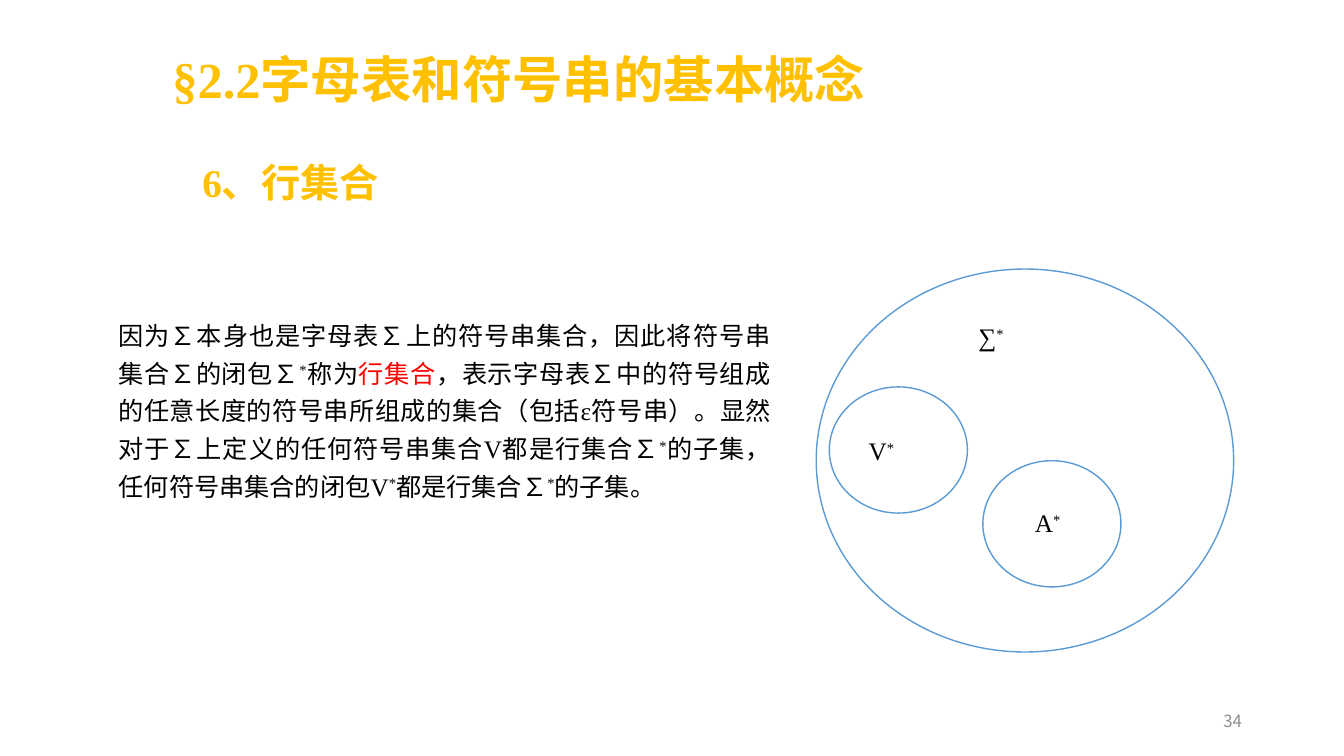
from lxml import etree
from pptx import Presentation
from pptx.dml.color import RGBColor
from pptx.enum.shapes import MSO_SHAPE
from pptx.enum.text import MSO_ANCHOR, MSO_AUTO_SIZE, PP_ALIGN
from pptx.oxml.ns import qn
from pptx.util import Cm, Pt

GOLD = RGBColor(0xFF, 0xC0, 0x00)
BLACK = RGBColor(0x00, 0x00, 0x00)
RED = RGBColor(0xFF, 0x00, 0x00)
GREY = RGBColor(0x8C, 0x8C, 0x8C)
BLUE = RGBColor(0x5B, 0x9B, 0xD5)
LATIN = "Times New Roman"
CJK = "Noto Sans CJK SC"


def add_run(p, text, size, color=BLACK, bold=False, latin=LATIN):
    """Add a run; a lone asterisk is set as a superscript."""
    r = p.add_run()
    r.text = text
    r.font.size = Pt(size)
    r.font.bold = bold
    r.font.color.rgb = color
    r.font.name = latin
    rPr = r._r.get_or_add_rPr()
    etree.SubElement(rPr, qn("a:ea")).set("typeface", CJK)
    if text == "*":
        rPr.set("baseline", "30000")


def add_text(left, top, width, height, align=PP_ALIGN.LEFT, wrap=True):
    """Add a text box and return its text frame and first paragraph."""
    tf = s.shapes.add_textbox(Cm(left), Cm(top), Cm(width), Cm(height)).text_frame
    tf.word_wrap = wrap
    p = tf.paragraphs[0]
    p.alignment = align
    return tf, p


prs = Presentation()
prs.slide_width, prs.slide_height = Cm(33.87), Cm(19.05)
s = prs.slides.add_slide(prs.slide_layouts[5])

# Title
title = s.shapes.title
title.left, title.top, title.width, title.height = Cm(3.99), Cm(0.79), Cm(24.56), Cm(4.22)
tf = title.text_frame
tf.auto_size = MSO_AUTO_SIZE.NONE
tf.vertical_anchor = MSO_ANCHOR.TOP
p = tf.paragraphs[0]
p.alignment = PP_ALIGN.LEFT
p.line_spacing = 1.2
pPr = p._p.get_or_add_pPr()
pPr.set("marL", str(Cm(1.17)))
pPr.set("indent", str(Cm(-1.07)))
add_run(p, "§2.2字母表和符号串的基本概念", 36, GOLD, bold=True)

# Subheading
tf, p = add_text(4.85, 3.4, 24, 1.73, PP_ALIGN.JUSTIFY)
p.line_spacing = 1.4
add_run(p, "6、行集合", 28, GOLD, bold=True)

# Explanation
tf, p = add_text(2.74, 7.75, 16.94, 5.05, PP_ALIGN.JUSTIFY)
p.line_spacing = 1.25
for text, color in [
    ("因为∑本身也是字母表∑上的符号串集合，因此将符号串集合∑的闭包∑", BLACK),
    ("*", BLACK),
    ("称为", BLACK),
    ("行集合", RED),
    ("，表示字母表∑中的符号组成的任意长度的符号串所组成的集合"
     "（包括ε符号串）。显然对于∑上定义的任何符号串集合V都是行集合∑", BLACK),
    ("*", BLACK),
    ("的子集，任何符号串集合的闭包V", BLACK),
    ("*", BLACK),
    ("都是行集合∑", BLACK),
    ("*", BLACK),
    ("的子集。", BLACK),
]:
    add_run(p, text, 18, color)

# Nested sets: ellipse box, label, label position
for box, name, label_left, label_top in [
    ((20.57, 6.78, 10.52, 9.65), "∑", 24.41, 7.98),
    ((20.9, 9.75, 3.48, 3.18), "V", 21.64, 10.85),
    ((24.77, 11.61, 3.48, 3.18), "A", 25.83, 12.67),
]:
    sp = s.shapes.add_shape(MSO_SHAPE.OVAL, *map(Cm, box))
    sp.shadow.inherit = False
    sp.fill.background()
    sp.line.color.rgb = BLUE
    sp.line.width = Pt(1)
    tf, p = add_text(label_left, label_top, 1.19, 1.02, wrap=False)
    add_run(p, name, 18)
    add_run(p, "*", 18)

# Page number
tf, p = add_text(23.93, 17.65, 7.62, 1.02, PP_ALIGN.RIGHT)
tf.vertical_anchor = MSO_ANCHOR.MIDDLE
add_run(p, "34", 12, GREY, latin=CJK)

prs.save("out.pptx")
